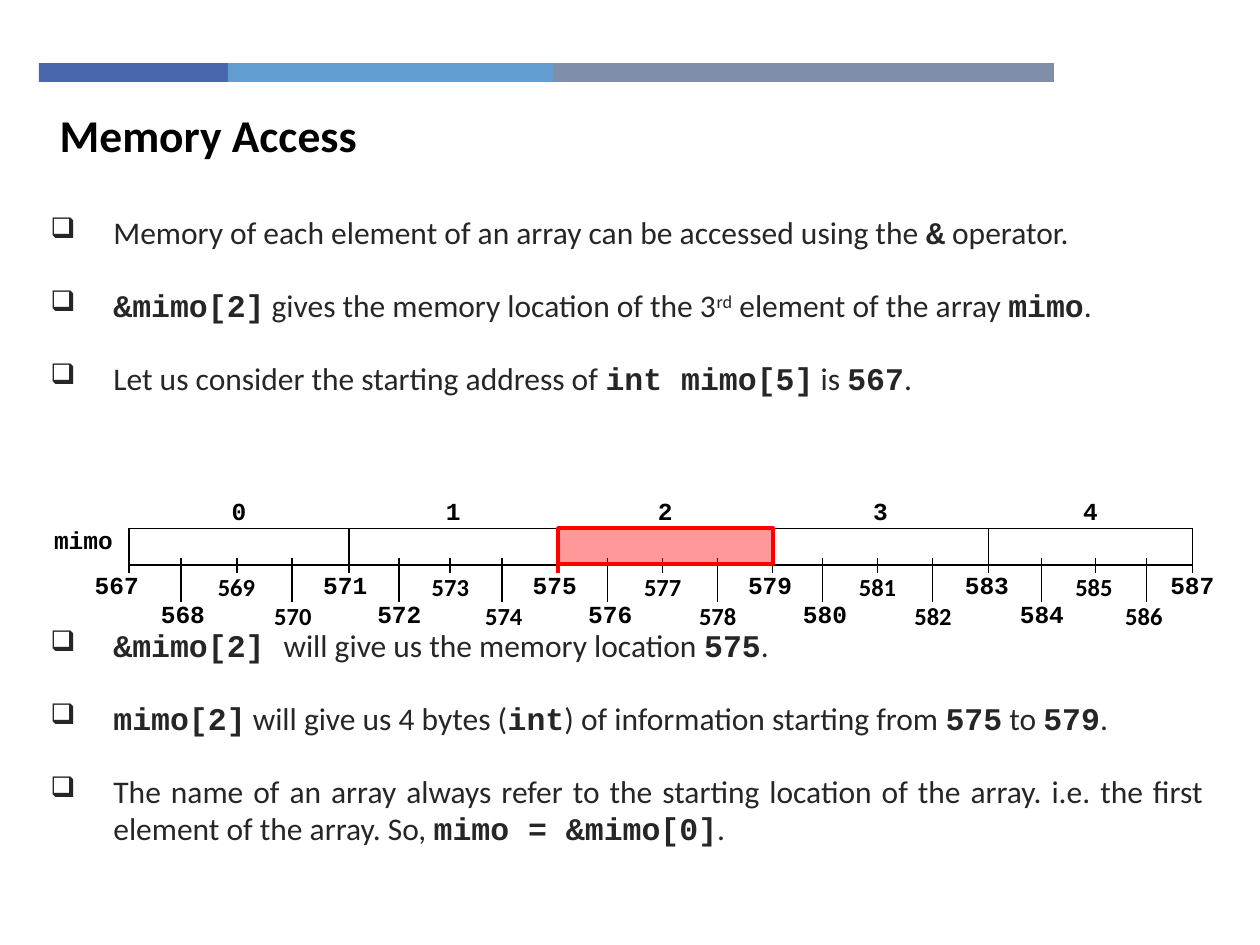
from lxml.etree import SubElement as Sub
from pptx import Presentation as Deck
from pptx.dml.color import RGBColor as RGB
from pptx.enum.shapes import MSO_CONNECTOR as LINE, MSO_SHAPE as SHAPE
from pptx.enum.text import MSO_ANCHOR as ANCHOR, PP_ALIGN as ALIGN
from pptx.oxml import parse_xml
from pptx.oxml.ns import nsdecls, qn
from pptx.util import Pt

BLACK = RGB(0x00, 0x00, 0x00)
INK = RGB(0x26, 0x26, 0x26)
RED = RGB(0xFF, 0x00, 0x00)
NAVY = RGB(0x4A, 0x66, 0xAC)
BLUE = RGB(0x62, 0x9D, 0xD1)
GREY = RGB(0x7F, 0x8F, 0xA9)

SANS, MONO = "Calibri", "Courier New"
PLAIN = "{2D5ABB26-0587-4C30-8999-92F81FD0307C}"
BARS = [(39, 189, NAVY), (228, 325, BLUE), (553, 501, GREY)]
COLS = [91, 52, 56, 55, 57, 50, 51, 52, 56, 50, 55, 55, 55, 50, 55, 55, 56, 53, 54, 51, 46, 46]
ROWS = [29, 29, 7, 8, 29, 29, 1]
START, SIZE, COUNT = 567, 4, 5
LAST = SIZE * COUNT + 1
POINTS = [
    (0, "Memory of each element of an array can be accessed using the `&` operator."),
    (20, "`&mimo[2]` gives the memory location of the 3^rd^ element of the array `mimo`."),
    (20, "Let us consider the starting address of `int mimo[5]` is `567`."),
    (131, "`&mimo[2] `will give us the memory location `575`."),
    (20, "`mimo[2]` will give us 4 bytes (`int`) of information starting from `575` to `579`."),
    (20, "The name of an array always refer to the starting location of the array. "
         "i.e. the first element of the array. So, `mimo = &mimo[0]`."),
]


def px(n):
    return round(n * 914400 / 126)


def put(item, **form):
    for key, value in form.items():
        setattr(item, key, value)


def add_run(para, text, face, size, color, bold):
    run = para.add_run()
    run.text = text
    put(run.font, name=face, size=Pt(size), bold=bold)
    run.font.color.rgb = color
    return run


def add_title(slide, text):
    title = slide.shapes.title
    put(title, left=px(47), top=px(101), width=px(902), height=px(68))
    put(title.text_frame, vertical_anchor=ANCHOR.TOP, word_wrap=True)
    para = title.text_frame.paragraphs[0]
    para.alignment = ALIGN.LEFT
    add_run(para, text, SANS, 26, BLACK, True)


def add_rect(slide, x, y, w, h, fill):
    rect = slide.shapes.add_shape(SHAPE.RECTANGLE, px(x), px(y), px(w), px(h))
    rect.shadow.inherit = False
    rect.fill.solid()
    rect.fill.fore_color.rgb = fill
    rect.line.fill.background()
    return rect


def add_list(slide):
    box = slide.shapes.add_textbox(px(38), px(207), px(1178), px(723))
    frame = box.text_frame
    frame.word_wrap = True
    for i, (gap, text) in enumerate(POINTS):
        para = frame.add_paragraph() if i else frame.paragraphs[0]
        prop = para._p.get_or_add_pPr()
        put_in = {"marL": px(63), "indent": px(-63)}
        for key, value in put_in.items():
            prop.set(key, str(value))
        Sub(prop, qn("a:buSzPct"), val="90000")
        Sub(prop, qn("a:buChar"), char="❑")
        put(para, alignment=ALIGN.JUSTIFY, space_before=Pt(gap))
        for j, part in enumerate(text.split("`")):
            if j % 2:
                add_run(para, part, MONO, 18, INK, True)
                continue
            for k, bit in enumerate(part.split("^")):
                if bit:
                    run = add_run(para, bit, SANS, 18, INK, False)
                    if k % 2:
                        run._r.get_or_add_rPr().set("baseline", "30000")


def set_edges(cell, sides):
    prop = cell._tc.get_or_add_tcPr()
    for i, side in enumerate("LRTB"):
        fill = '<a:solidFill><a:srgbClr val="000000"/></a:solidFill>' if side in sides else "<a:noFill/>"
        prop.insert(i, parse_xml(f'<a:ln{side} {nsdecls("a")} w="12700">{fill}</a:ln{side}>'))


def clear(cell):
    put(cell, margin_left=0, margin_right=0, margin_top=0, margin_bottom=0,
        vertical_anchor=ANCHOR.MIDDLE)
    cell.fill.background()
    Sub(cell.text_frame.paragraphs[0]._p, qn("a:endParaRPr"), sz="100")


def fill_cell(grid, row, col, span=1, text="", face=MONO, sides=""):
    cell = grid.cell(row, col)
    if span > 1:
        cell.merge(grid.cell(row, col + span - 1))
    set_edges(cell, sides)
    if text:
        para = cell.text_frame.paragraphs[0]
        para.alignment = ALIGN.CENTER
        add_run(para, text, face, 14, BLACK, True)


def add_grid(slide):
    frame = slide.shapes.add_table(len(ROWS), len(COLS), px(38), px(499),
                                   px(sum(COLS)), px(sum(ROWS)))
    grid = frame.table
    put(grid, first_row=False, horz_banding=False)
    grid._tbl.tblPr.find(qn("a:tableStyleId")).text = PLAIN
    for col, w in zip(grid.columns, COLS):
        col.width = px(w)
    for row, h in zip(grid.rows, ROWS):
        row.height = px(h)
    for cell in grid.iter_cells():
        clear(cell)

    for i in range(COUNT):
        col = 1 + SIZE * i
        fill_cell(grid, 0, col, SIZE, str(i), sides="B")
        fill_cell(grid, 1, col, SIZE, sides="LRT")
        fill_cell(grid, 6, col, SIZE)
    for row, text, side in [(0, "", ""), (1, "mimo", "R"), (2, "", "R"),
                            (3, "", "R"), (5, "", ""), (6, "", "")]:
        fill_cell(grid, row, 0, text=text, sides=side)
        fill_cell(grid, row, LAST, sides=side and "L")
    for col in range(1, LAST):
        fill_cell(grid, 2, col, sides="LRB")
        fill_cell(grid, 3, col, sides="LRT")
    for n in range(LAST):
        face = SANS if n % SIZE in (2, 3) else MONO
        side = ("L" if n else "") + ("R" if n < LAST - 1 else "")
        text = str(START + n) if n else f" {START}"
        fill_cell(grid, 4 + n % 2, n, 2, text, face, "" if n % 2 else side)


def add_mark(slide):
    stem = slide.shapes.add_connector(LINE.STRAIGHT, px(558), px(528), px(558), px(573))
    Sub(stem._element.spPr, qn("a:effectLst"))
    stem.line.color.rgb = RED
    stem.line.width = Pt(2.25)
    rect = add_rect(slide, 558, 528, 215, 36, RED)
    tint = rect._element.spPr.find(qn("a:solidFill"))[0]
    Sub(tint, qn("a:alpha"), val="40000")
    rect.line.color.rgb = RED
    rect.line.width = Pt(2)


def main():
    deck = Deck()
    put(deck, slide_width=px(1260), slide_height=px(945))
    slide = deck.slides.add_slide(deck.slide_layouts[5])
    for x, w, color in BARS:
        add_rect(slide, x, 63, w, 19, color)
    add_title(slide, "Memory Access")
    add_list(slide)
    add_grid(slide)
    add_mark(slide)
    deck.save("out.pptx")


if __name__ == "__main__":
    main()
